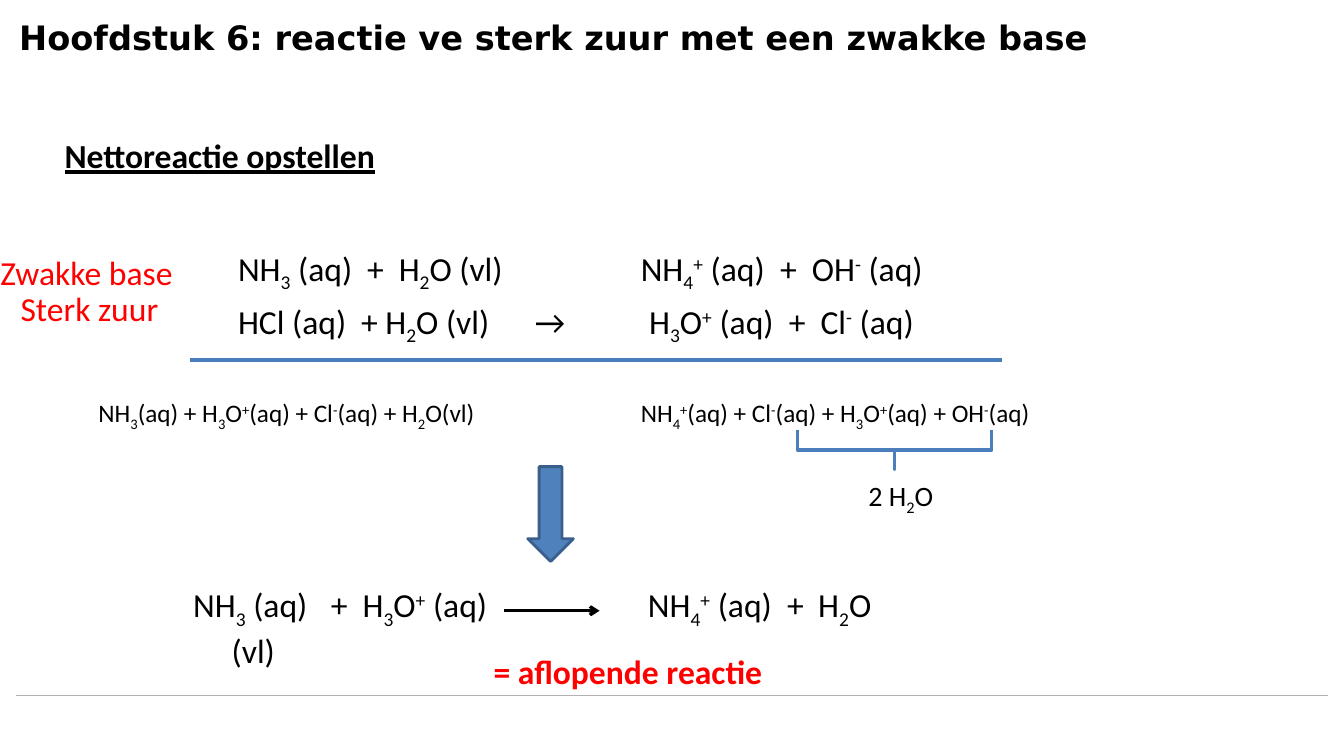
from lxml import etree
from pptx import Presentation
from pptx import util as u
from pptx.dml.color import RGBColor
from pptx.enum import shapes, text
from pptx.oxml.ns import qn

BLACK = RGBColor(0x00, 0x00, 0x00)
RED = RGBColor(0xFF, 0x00, 0x00)
BLUE_LINE = RGBColor(0x4B, 0x7E, 0xBC)
BLUE_FILL = RGBColor(0x4F, 0x81, 0xBD)
BLUE_EDGE = RGBColor(0x3A, 0x5F, 0x8C)
RULE = RGBColor(0xB2, 0xB2, 0xB2)
INSET = 0.25
BASELINES = {"_": "-25000", "^": "30000"}

deck = Presentation()
deck.slide_width, deck.slide_height = u.Cm(33.87), u.Cm(19.05)
page = deck.slides.add_slide(deck.slide_layouts[5])


def write_formula(para, pieces, left, size, color=BLACK, bold=False):
    """Write (position, formula) pieces at tab stops; _ lowers and ^ raises one character."""
    tabs = etree.SubElement(para._p.get_or_add_pPr(), qn("a:tabLst"))
    for position, _ in pieces:
        if position > left + INSET:
            stop = u.Cm(round(position - left - INSET, 2))
            etree.SubElement(tabs, qn("a:tab"), pos=str(stop), algn="l")
    if len(tabs) == 0:
        tabs.getparent().remove(tabs)
    for position, formula in pieces:
        parts = [["", "\t" if position > left + INSET else ""]]
        marker = ""
        for char in formula:
            if char in BASELINES:
                marker = char
            elif marker:
                parts += [[marker, char], ["", ""]]
                marker = ""
            else:
                parts[-1][1] += char
        for kind, words in parts:
            if words:
                span = para.add_run()
                span.text = words
                span.font.name = "Calibri"
                span.font.size = u.Pt(size)
                span.font.bold = bold
                span.font.color.rgb = color
                if kind:
                    span._r.get_or_add_rPr().set("baseline", BASELINES[kind])


def add_line(x1, y1, x2, y2, color, width):
    line = page.shapes.add_connector(
        shapes.MSO_CONNECTOR.STRAIGHT, u.Cm(x1), u.Cm(y1), u.Cm(x2), u.Cm(y2))
    line.line.color.rgb = color
    line.line.width = u.Pt(width)
    etree.SubElement(line._element.spPr, qn("a:effectLst"))
    return line


# Title and bottom rule
add_line(0.41, 17.53, 33.48, 17.53, RULE, 0.25)
title = page.shapes.title
title.left, title.top, title.width, title.height = u.Cm(0.23), u.Cm(0.33), u.Cm(31.98), u.Cm(1.19)
title.text_frame.text = "Hoofdstuk 6: reactie ve sterk zuur met een zwakke base"
title.text_frame.vertical_anchor = text.MSO_ANCHOR.MIDDLE
para = title.text_frame.paragraphs[0]
para.alignment = text.PP_ALIGN.LEFT
font = para.runs[0].font
font.name, font.size, font.bold = "DejaVu Sans", u.Pt(24), True
font.color.rgb = BLACK

# Heading and labels, aligned right
labels = [
    ("Nettoreactie opstellen", 1.24, 3.28, 8.46, 24, BLACK, True),
    ("Zwakke base", -0.3, 6.22, 4.9, 24, RED, False),
    ("Sterk zuur", 0.23, 7.14, 4.01, 24, RED, False),
    ("2 H_2O", 21.59, 11.94, 2.18, 20, BLACK, False),
    ("= aflopende reactie", 12.09, 16.28, 7.37, 24, RED, True),
]
for words, left, top, width, size, color, bold in labels:
    box = page.shapes.add_textbox(u.Cm(left), u.Cm(top), u.Cm(width), u.Cm(1.27))
    box.text_frame.word_wrap = False
    para = box.text_frame.paragraphs[0]
    para.alignment = text.PP_ALIGN.RIGHT
    write_formula(para, [(left, words)], left, size, color, bold)
    para.runs[0].font.underline = words.startswith("Netto")

# Partial reactions and their sum: (size, space before, pieces)
reactions = [
    (24, 0, [(6, "NH_3 (aq)"), (9.25, "+"), (10.05, "H_2O (vl)"),
             (16.15, "NH_4^+ (aq)"), (19.66, "+"), (20.46, "OH^- (aq)")]),
    (24, 5, [(6, "HCl (aq)"), (9.1, "+ H_2O (vl)"), (13.48, "→"),
             (16.36, "H_3O^+ (aq)"), (19.88, "+"), (20.68, "Cl^- (aq)")]),
    (18, 36.5, [(2.48, "NH_3(aq) + H_3O^+(aq) + Cl^-(aq) + H_2O(vl)"),
                (16.15, "NH_4^+(aq) + Cl^-(aq) + H_3O^+(aq) + OH^-(aq)")]),
]
box = page.shapes.add_textbox(u.Cm(2.23), u.Cm(6.12), u.Cm(30), u.Cm(5.89))
frame = box.text_frame
frame.word_wrap = True
for index, (size, gap, pieces) in enumerate(reactions):
    para = frame.add_paragraph() if index else frame.paragraphs[0]
    para.space_before = u.Pt(gap)
    write_formula(para, pieces, 2.23, size)

# Net reaction, with the state of water on an indented second line
box = page.shapes.add_textbox(u.Cm(4.62), u.Cm(14.6), u.Cm(18.47), u.Cm(2.54))
frame = box.text_frame
frame.word_wrap = True
write_formula(frame.paragraphs[0], [
    (4.87, "NH_3 (aq)"), (8.34, "+"), (9.14, "H_3O^+ (aq)"),
    (16.33, "NH_4^+ (aq)"), (19.84, "+"), (20.62, "H_2O")], 4.62, 24)
para = frame.add_paragraph()
para._p.get_or_add_pPr().set("marL", str(u.Cm(0.97)))
write_formula(para, [(4.62, "(vl)")], 4.62, 24)

# Sum line and reaction arrow
add_line(4.78, 9.07, 25.25, 9.07, BLUE_LINE, 2.25)
reaction_arrow = add_line(12.7, 15.39, 15.11, 15.39, BLACK, 2.25)
etree.SubElement(reaction_arrow.line._get_or_add_ln(), qn("a:tailEnd"), type="arrow")

# Brace under the ions that form water
brace = page.shapes.add_shape(
    shapes.MSO_SHAPE.RIGHT_BRACE, u.Cm(22.05), u.Cm(8.89), u.Cm(0.99), u.Cm(4.9))
brace.rotation = 90
brace.adjustments[0], brace.adjustments[1] = 0, 0.5
brace.fill.background()
brace.line.color.rgb = BLUE_LINE
brace.line.width = u.Pt(2.25)
brace.shadow.inherit = False

# Arrow down to the net reaction
down_arrow = page.shapes.add_shape(
    shapes.MSO_SHAPE.DOWN_ARROW, u.Cm(13.3), u.Cm(11.76), u.Cm(1.15), u.Cm(2.39))
down_arrow.fill.solid()
down_arrow.fill.fore_color.rgb = BLUE_FILL
down_arrow.line.color.rgb = BLUE_EDGE
down_arrow.line.width = u.Pt(2)
down_arrow.shadow.inherit = False

deck.save("out.pptx")
